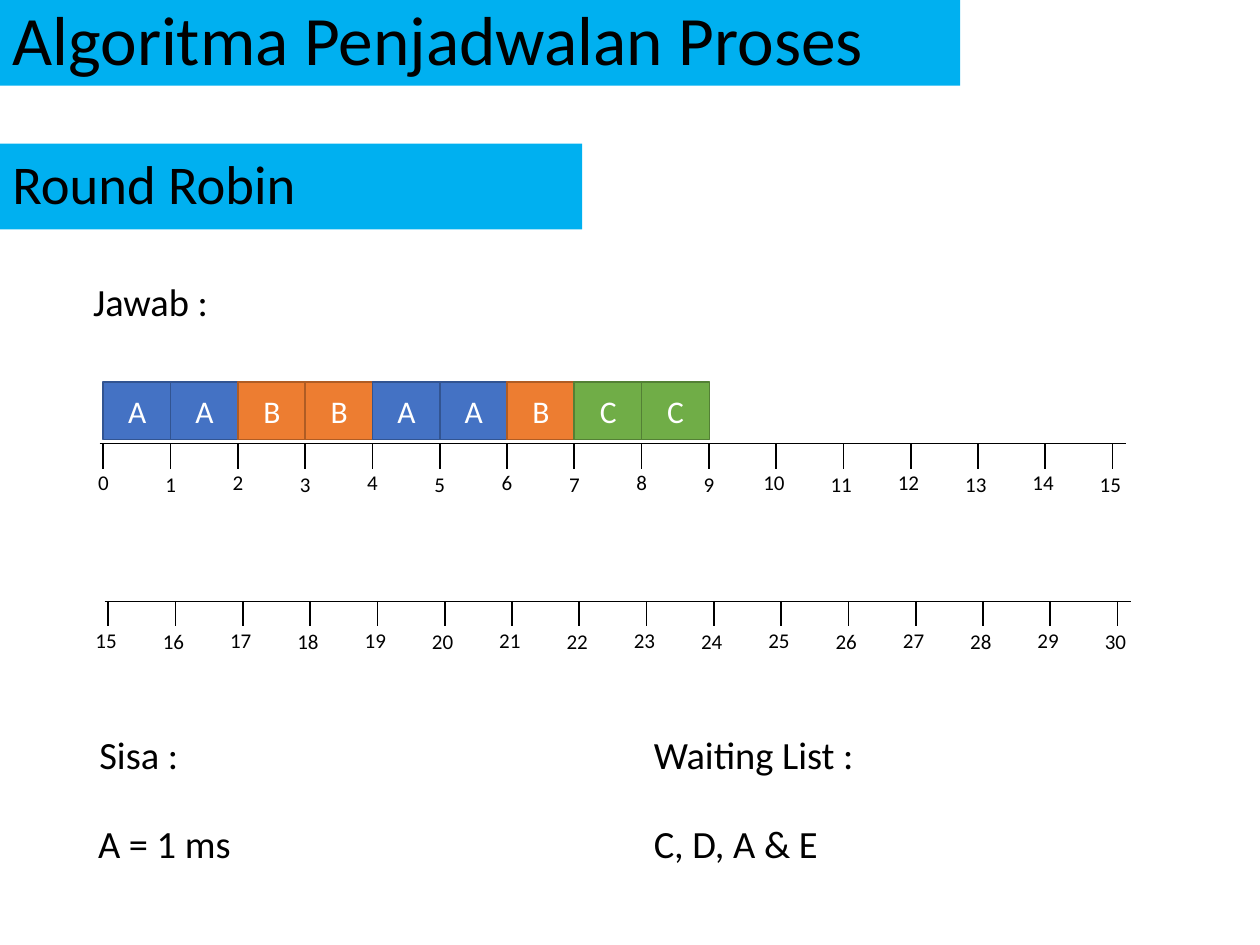
from lxml.etree import SubElement
from pptx import Presentation
from pptx.dml.color import RGBColor
from pptx.enum.shapes import MSO_CONNECTOR, MSO_SHAPE
from pptx.enum.text import MSO_ANCHOR, MSO_AUTO_SIZE, PP_ALIGN
from pptx.oxml.ns import qn
from pptx.util import Inches, Pt

FONT = "Calibri"
BLACK = RGBColor(0x00, 0x00, 0x00)
WHITE = RGBColor(0xFF, 0xFF, 0xFF)
SKY = RGBColor(0x00, 0xB0, 0xF0)
PROCESS_COLORS = {
    "A": (RGBColor(0x44, 0x72, 0xC4), RGBColor(0x32, 0x54, 0x91)),
    "B": (RGBColor(0xED, 0x7D, 0x31), RGBColor(0xAF, 0x5C, 0x24)),
    "C": (RGBColor(0x70, 0xAD, 0x47), RGBColor(0x53, 0x80, 0x35)),
}
SCHEDULE = "AABBAABCC"
UNITS = 15
STEP = 8.01 / UNITS
CHART_LEFT = 0.82


def write(tf, text, size, color=BLACK, align=PP_ALIGN.LEFT):
    p = tf.paragraphs[0]
    p.alignment = align
    r = p.add_run()
    r.text = text
    r.font.name = FONT
    r.font.size = Pt(size)
    r.font.color.rgb = color
    return p


def add_text(s, left, top, width, height, text, size, align=PP_ALIGN.LEFT):
    box = s.shapes.add_textbox(
        Inches(left), Inches(top), Inches(width), Inches(height))
    tf = box.text_frame
    tf.word_wrap = True
    tf.auto_size = MSO_AUTO_SIZE.SHAPE_TO_FIT_TEXT
    write(tf, text, size, align=align)


def add_rect(s, left, top, width, height, fill):
    sp = s.shapes.add_shape(
        MSO_SHAPE.RECTANGLE,
        Inches(left), Inches(top), Inches(width), Inches(height))
    sp.shadow.inherit = False
    sp.fill.solid()
    sp.fill.fore_color.rgb = fill
    sp.text_frame.vertical_anchor = MSO_ANCHOR.MIDDLE
    return sp


def add_heading(s, top, width, text, size):
    sp = add_rect(s, 0, top, width, 0.68, SKY)
    sp.line.fill.background()
    sp.text_frame.word_wrap = True
    write(sp.text_frame, text, size).line_spacing = 0.9


def add_process(s, left, name):
    fill, outline = PROCESS_COLORS[name]
    sp = add_rect(s, left, 3.03, 0.54, 0.46, fill)
    sp.line.color.rgb = outline
    sp.line.width = Pt(1)
    write(sp.text_frame, name, 18, WHITE, PP_ALIGN.CENTER)


def add_line(s, x1, y1, x2, y2, width):
    line = s.shapes.add_connector(
        MSO_CONNECTOR.STRAIGHT,
        Inches(x1), Inches(y1), Inches(x2), Inches(y2))
    line.line.color.rgb = BLACK
    line.line.width = Pt(width)
    SubElement(line._element.spPr, qn("a:effectLst"))


def add_timeline(s, left, top, start):
    add_line(s, left - 0.03, top, left + 8.12, top, 0.5)
    for i in range(UNITS + 1):
        x = left + i * STEP
        add_line(s, x, top, x, top + 0.2, 1)
        label = str(start + i)
        offset, width = (0.14, 0.33) if len(label) == 1 else (0.2, 0.4)
        label_top = top + 0.16 + 0.01 * (i % 2)
        add_text(s, x - offset, label_top, width, 0.3, label, 12)


def main():
    prs = Presentation()
    prs.slide_width = Inches(10)
    prs.slide_height = Inches(7.5)
    s = prs.slides.add_slide(prs.slide_layouts[6])

    add_heading(s, 0, 7.62, "Algoritma Penjadwalan Proses", 39.6)
    add_heading(s, 1.14, 4.62, "Round Robin", 31.2)

    add_timeline(s, CHART_LEFT, 3.52, 0)
    for i, name in enumerate(SCHEDULE):
        add_process(s, CHART_LEFT + i * STEP, name)
    add_timeline(s, 0.86, 4.77, UNITS)

    for left, top, width, text in (
        (0.64, 2.16, 1.98, "Jawab :"),
        (0.69, 5.75, 1.98, "Sisa :"),
        (5.09, 5.75, 1.98, "Waiting List :"),
        (0.68, 6.46, 2.85, "A = 1 ms"),
        (5.09, 6.46, 1.98, "C, D, A & E"),
    ):
        add_text(s, left, top, width, 0.47, text, 22, PP_ALIGN.JUSTIFY)

    prs.save("out.pptx")


if __name__ == "__main__":
    main()
